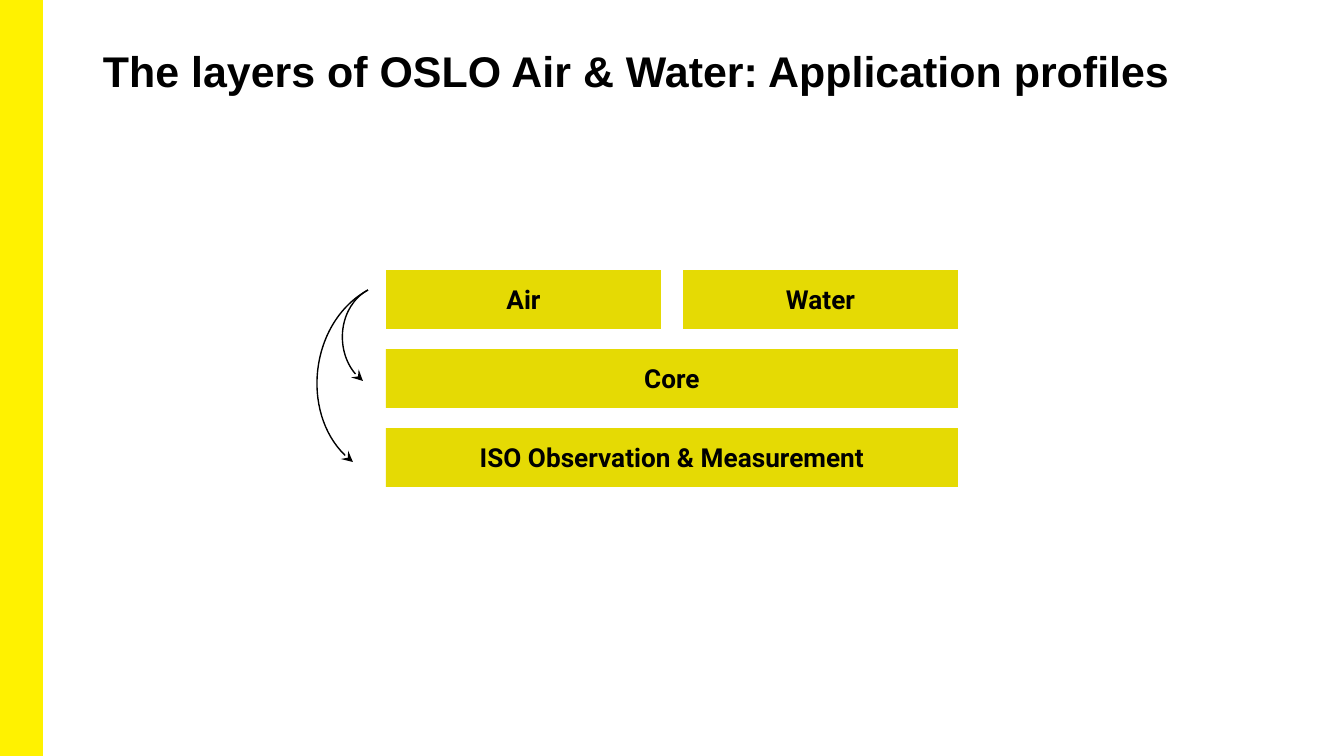
"""Build the slide on the layers of the OSLO Air & Water application profiles."""
from lxml.etree import SubElement
from pptx import Presentation
from pptx.dml.color import RGBColor
from pptx.enum.shapes import MSO_SHAPE
from pptx.enum.text import MSO_ANCHOR, PP_ALIGN
from pptx.oxml.ns import qn
from pptx.util import Pt

PX = 9144000 / 1344


def color(target, value):
    if hasattr(target, "solid"):
        target.solid()
        target = target.fore_color
    target.rgb = RGBColor.from_string(value)


def write(box, text, *, size, font, align, anchor, inset_x, inset_y):
    frame = box.text_frame
    frame.word_wrap = True
    frame.vertical_anchor = anchor
    frame.margin_left = frame.margin_right = round(inset_x * PX)
    frame.margin_top = frame.margin_bottom = round(inset_y * PX)
    para = frame.paragraphs[0]
    para.alignment = align
    span = para.add_run()
    span.text = text
    span.font.name = font
    span.font.size = Pt(size)
    span.font.bold = True
    color(span.font.color, "000000")


deck = Presentation()
deck.slide_width, deck.slide_height = round(1344 * PX), round(756 * PX)
page = deck.slides.add_slide(deck.slide_layouts[6])

LEFT, WIDTH, HEIGHT, GAP = 386, 572, 59, 22
TOP, PITCH = 270, 79
HALF = (WIDTH - GAP) // 2
blocks = [
    ("", 0, 0, 42, 756, "FFF200"),
    ("ISO Observation & Measurement", LEFT, TOP + 2 * PITCH, WIDTH, HEIGHT, "E5DA04"),
    ("Core", LEFT, TOP + PITCH, WIDTH, HEIGHT, "E5DA04"),
    ("Air", LEFT, TOP, HALF, HEIGHT, "E5DA04"),
    ("Water", LEFT + HALF + GAP, TOP, HALF, HEIGHT, "E5DA04"),
]
for label, *place, fill in blocks:
    block = page.shapes.add_shape(MSO_SHAPE.RECTANGLE, *(round(n * PX) for n in place))
    block.shadow.inherit = False
    color(block.fill, fill)
    if label:
        block.line.fill.background()
        write(block, label, size=14, font="Roboto", align=PP_ALIGN.CENTER,
              anchor=MSO_ANCHOR.MIDDLE, inset_x=13, inset_y=13)
    else:
        color(block.line.fill, fill)
        block.line.width = Pt(1)

title = page.shapes.add_textbox(*(round(n * PX) for n in (93, 40, 1159, 97)))
write(title, "The layers of OSLO Air & Water: Application profiles", size=23, font="Arial",
      align=PP_ALIGN.LEFT, anchor=MSO_ANCHOR.TOP, inset_x=10, inset_y=5)

curves = [
    [(368, 290), (339, 306), (333, 359), (363, 381)],
    [(368, 290), (310, 322), (299, 422), (353, 462)],
]
for start, *bends in curves:
    builder = page.shapes.build_freeform(*start, scale=PX)
    builder.add_line_segments(bends, close=False)
    arrow = builder.convert_to_shape()
    arrow.shadow.inherit = False
    arrow.fill.background()
    color(arrow.line.fill, "000000")
    arrow.line.width = Pt(0.75)
    SubElement(arrow.line._get_or_add_ln(), qn("a:tailEnd"), type="stealth")
    outline = next(arrow.element.iter(qn("a:path")))
    curve = SubElement(outline, qn("a:cubicBezTo"))
    for segment in outline.findall(qn("a:lnTo")):
        curve.append(segment[0])
        outline.remove(segment)

deck.save("out.pptx")
